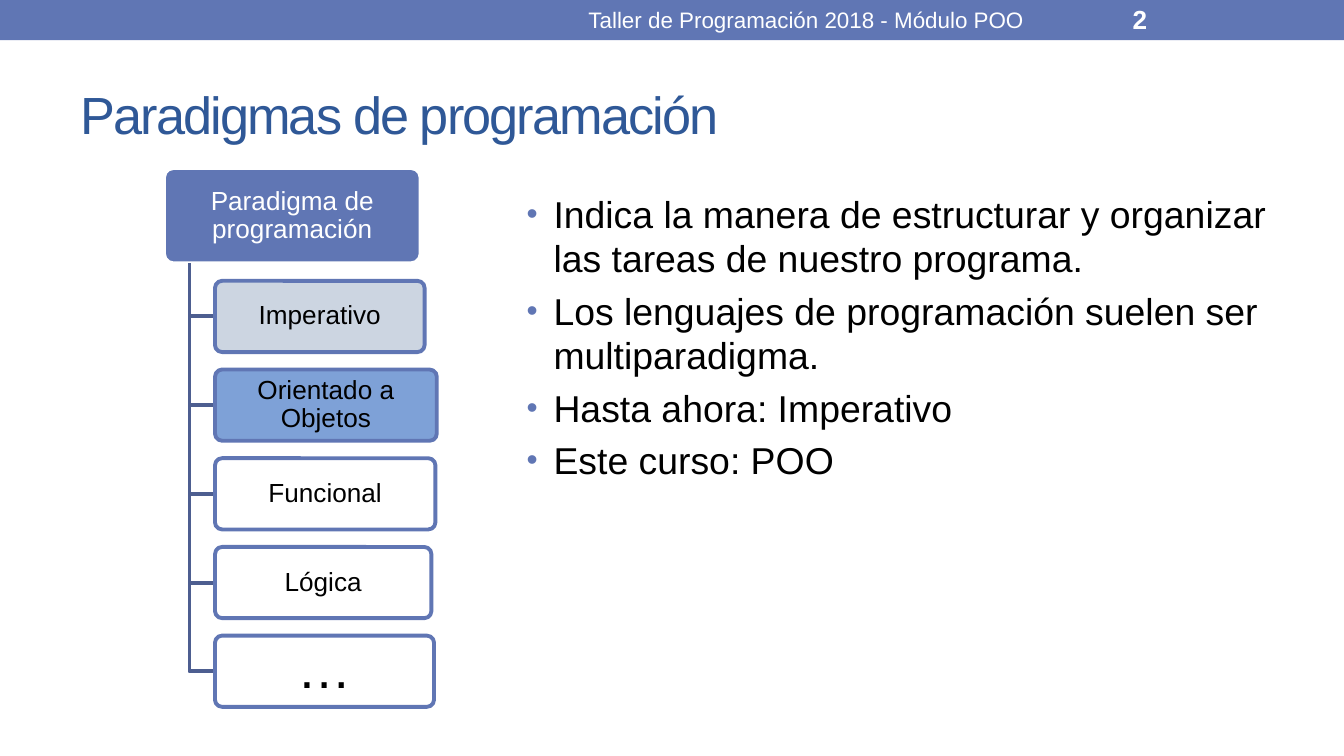
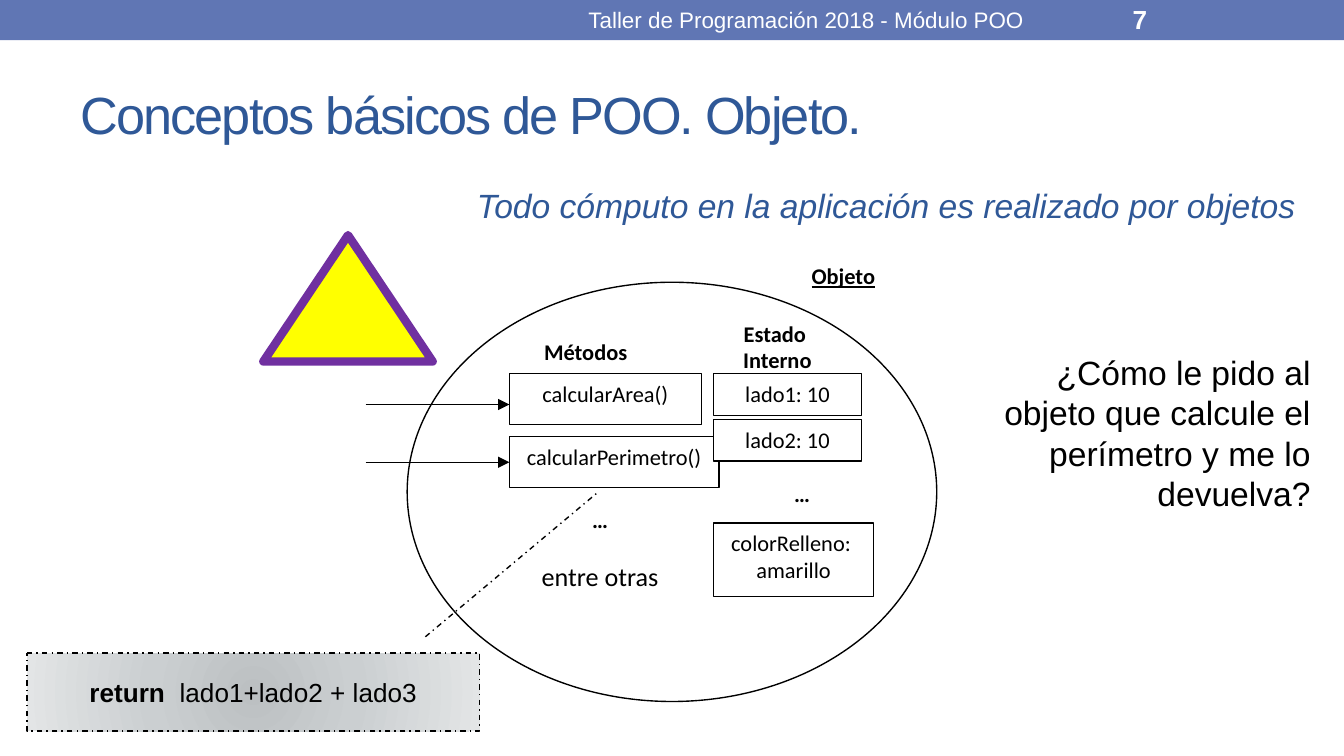
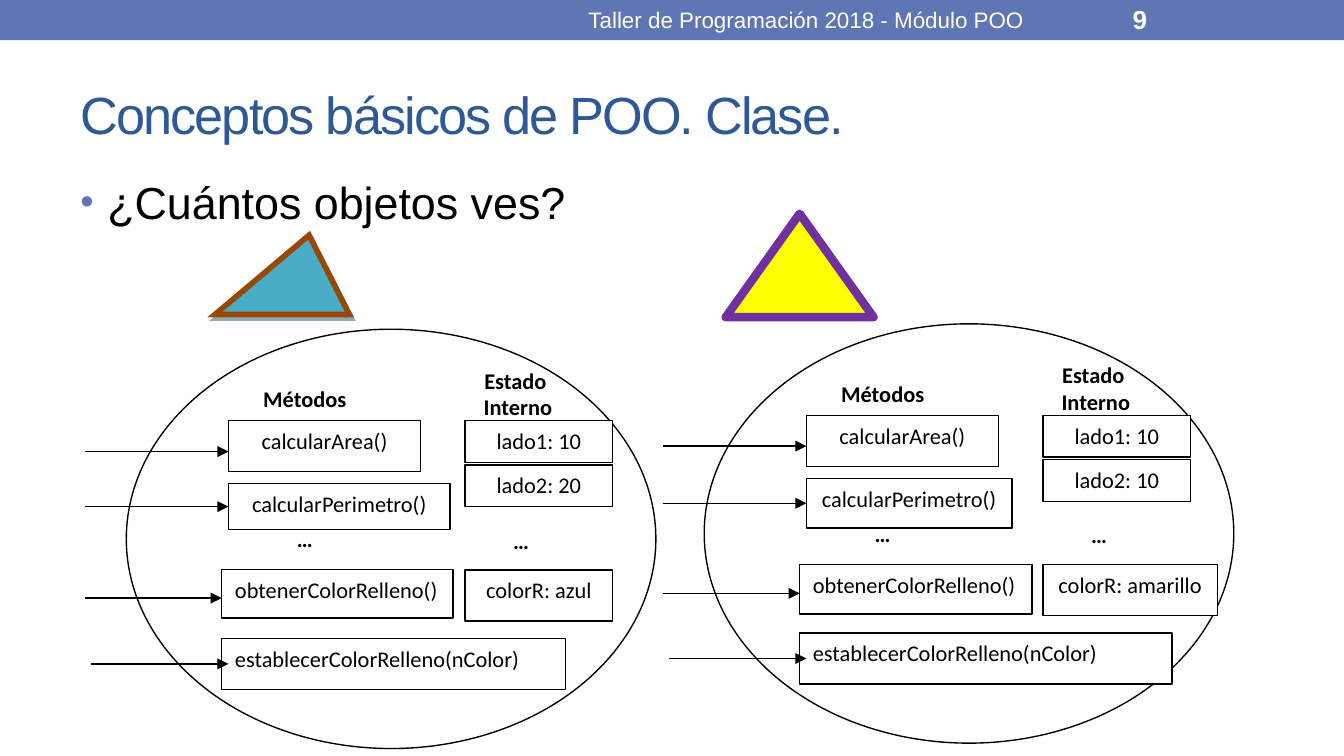
from lxml.etree import SubElement
from pptx import Presentation
from pptx.dml.color import RGBColor
from pptx.enum.dml import MSO_LINE
from pptx.enum.shapes import MSO_CONNECTOR, MSO_SHAPE
from pptx.enum.text import MSO_ANCHOR, PP_ALIGN
from pptx.oxml import parse_xml
from pptx.oxml.ns import nsdecls, qn
from pptx.util import Inches, Pt

BLUE, TITLE_BLUE, BRANCH_BLUE = "6076B4", "2F5897", "4D5E90"
WHITE, BLACK = "FFFFFF", "000000"
YELLOW, PURPLE, TEAL, BROWN = "FFFF00", "7030A0", "4BACC6", "974706"
HEADER = "Taller de Programación 2018 - Módulo POO"
ALIGN = {"left": PP_ALIGN.LEFT, "center": PP_ALIGN.CENTER, "right": PP_ALIGN.RIGHT}

# Slide "Paradigmas": label, width, fill, text size
ROOT = "Paradigma de programación"
PARADIGMS = [
    ("Imperativo", 1.56, "C7D1DE", 14),
    ("Orientado a Objetos", 1.65, "7097D3", 14),
    ("Funcional", 1.64, WHITE, 14),
    ("Lógica", 1.61, WHITE, 14),
    ("…", 1.63, WHITE, 29),
]
PARADIGM_POINTS = [
    "Indica la manera de estructurar y organizar las tareas de nuestro programa.",
    "Los lenguajes de programación suelen ser multiparadigma.",
    "Hasta ahora: Imperativo",
    "Este curso: POO",
]

# Object diagrams; places are measured from the corner of the ellipse.
# Methods: name, top, width, height. State: value, top, width, height.
OBJECT_SINGLE = {
    "origin": (3.03, 2.1),
    "state_left": 2.28,
    "heading_left": 2.01,
    "methods": [("calcularArea()", 0.68, 1.43, 0.38),
                ("calcularPerimetro()", 1.15, 1.56, 0.38)],
    "state": [("lado1: 10", 0.68, 1.1, 0.31),
              ("lado2: 10", 1.02, 1.1, 0.31),
              ("colorRelleno: \vamarillo", 1.79, 1.19, 0.55)],
    "dots": [(2.78, 1.42)],
}
OBJECT_PAIR = {
    "state_left": 2.52,
    "heading_left": 2.17,
    "dots": [(1.17, 1.41), (2.78, 1.42)],
}
OBJECT_BLUE = OBJECT_PAIR | {
    "origin": (0.94, 2.45),
    "methods": [("calcularArea()", 0.68, 1.43, 0.38),
                ("calcularPerimetro()", 1.15, 1.65, 0.34),
                ("obtenerColorRelleno()", 1.79, 1.72, 0.36),
                ("establecerColorRelleno(nColor)", 2.3, 2.56, 0.38)],
    "state": [("lado1: 10", 0.68, 1.1, 0.31),
              ("lado2: 20", 1.01, 1.1, 0.31),
              ("colorR: azul", 1.79, 1.1, 0.38)],
}
OBJECT_YELLOW = OBJECT_PAIR | {
    "origin": (5.24, 2.41),
    "methods": [("calcularArea()", 0.68, 1.43, 0.38),
                ("calcularPerimetro()", 1.15, 1.53, 0.37),
                ("obtenerColorRelleno()", 1.79, 1.73, 0.37),
                ("establecerColorRelleno(nColor)", 2.3, 2.77, 0.38)],
    "state": [("lado1: 10", 0.68, 1.1, 0.31),
              ("lado2: 10", 1.01, 1.1, 0.31),
              ("colorR: amarillo", 1.79, 1.3, 0.38)],
}
# Per method row: box left, text alignment, arrow start, arrow tip, arrow drop below the middle
METHOD_ROWS = [
    (0.76, "center", -0.31, 0.76, 0.04),
    (0.76, "center", -0.31, 0.76, 0),
    (0.71, "left", -0.31, 0.71, 0.03),
    (0.71, "left", -0.26, 0.76, 0),
]


def rgb(color):
    return RGBColor.from_string(color)


def inches(*lengths):
    return [Inches(length) for length in lengths]


def write(frame, text, size=12, font="Arial", color=BLACK, bold=False, italic=False,
          underline=False, align="left", spacing=None, before=0, line_spacing=None,
          bullet=False):
    r"""Add one paragraph per line, broken at \v; text is a string or (string, bold) runs."""
    lines = ([[(line, bold)] for line in text.split("\n")]
             if isinstance(text, str) else [text])
    for runs in lines:
        paragraph = frame.paragraphs[0]
        if paragraph.runs:
            paragraph = frame.add_paragraph()
        paragraph.alignment = ALIGN[align]
        paragraph.space_before = Pt(before)
        if line_spacing:
            paragraph.line_spacing = line_spacing
        if bullet:
            add_bullet(paragraph)
        for words, is_bold in runs:
            for index, piece in enumerate(words.split("\v")):
                if index:
                    paragraph.add_line_break()
                    SubElement(paragraph._p[-1], qn("a:rPr"), sz=str(size * 100))
                run = paragraph.add_run()
                run.text = piece
                run.font.name, run.font.size = font, Pt(size)
                run.font.color.rgb = rgb(color)
                run.font.bold, run.font.italic = is_bold, italic
                run.font.underline = underline
                if spacing:
                    run.font._element.set("spc", str(spacing * 100))


def add_bullet(paragraph):
    properties = paragraph._p.get_or_add_pPr()
    properties.set("marL", str(Inches(0.2)))
    properties.set("indent", str(Inches(-0.2)))
    color = SubElement(properties, qn("a:buClr"))
    SubElement(color, qn("a:srgbClr"), val=BLUE)
    SubElement(properties, qn("a:buSzPct"), val="85000")
    SubElement(properties, qn("a:buFont"), typeface="Arial")
    SubElement(properties, qn("a:buChar"), char="•")


def set_frame(frame, middle, margins=(0.1, 0.05)):
    frame.word_wrap = True
    frame.vertical_anchor = MSO_ANCHOR.MIDDLE if middle else MSO_ANCHOR.TOP
    frame.margin_left = frame.margin_right = Inches(margins[0])
    frame.margin_top = frame.margin_bottom = Inches(margins[1])


def add_text(slide, place, text, middle=False, **text_format):
    frame = slide.shapes.add_textbox(*inches(*place)).text_frame
    set_frame(frame, middle)
    write(frame, text, **text_format)
    return frame


def add_shape(slide, kind, place, fill, line=BLACK, width=0.75, join=None, alpha=None,
              adjust=(), text=None, middle=False, margins=(0.1, 0.05), **text_format):
    shape = slide.shapes.add_shape(kind, *inches(*place))
    shape.shadow.inherit = False
    for index, value in enumerate(adjust):
        shape.adjustments[index] = value
    shape.fill.solid()
    shape.fill.fore_color.rgb = rgb(fill)
    if alpha:
        fill_color = shape._element.spPr.find(qn("a:solidFill"))[0]
        SubElement(fill_color, qn("a:alpha"), val=str(alpha * 1000))
    if line:
        shape.line.color.rgb, shape.line.width = rgb(line), Pt(width)
        if join:
            SubElement(shape.line._get_or_add_ln(), qn("a:" + join))
    else:
        shape.line.fill.background()
    if text:
        set_frame(shape.text_frame, middle, margins)
        write(shape.text_frame, text, **text_format)
    return shape


def add_arrow(slide, start, tip, y, target=None):
    arrow = slide.shapes.add_connector(MSO_CONNECTOR.STRAIGHT, *inches(start, y, tip, y))
    if target is not None:
        arrow.end_connect(target, 1)
    arrow.line.color.rgb, arrow.line.width = rgb(BLACK), Pt(0.75)
    SubElement(arrow.line._get_or_add_ln(), qn("a:tailEnd"), type="triangle")
    SubElement(arrow._element.spPr, qn("a:effectLst"))


def add_branch(slide, x, top, right, bottom):
    """Draw an elbow going down and then right."""
    x, top, right, bottom = inches(x, top, right, bottom)
    builder = slide.shapes.build_freeform(x, top)
    builder.add_line_segments([(x, bottom), (right, bottom)], close=False)
    branch = builder.convert_to_shape()
    branch.shadow.inherit = False
    branch.fill.background()
    branch.line.color.rgb, branch.line.width = rgb(BRANCH_BLUE), Pt(2.08)


def add_bullets(slide, place, points, size):
    add_text(slide, place, "\n".join(points), size=size, before=size * 0.2, bullet=True)


def add_slide(deck, title, number):
    slide = deck.slides.add_slide(deck.slide_layouts[6])
    add_shape(slide, MSO_SHAPE.RECTANGLE, (0, 0, 10, 0.3), BLUE, line=None)
    add_text(slide, (0.5, 0.44, 9, 0.81), title, middle=True, size=28,
             color=TITLE_BLUE, spacing=-1)
    add_text(slide, (3.75, 0.01, 4.5, 0.27), HEADER, middle=True, color=WHITE,
             align="center")
    add_text(slide, (8.33, 0.01, 1.17, 0.27), str(number), middle=True, size=14,
             color=WHITE, bold=True)
    return slide


def add_yellow_triangle(slide, place):
    add_shape(slide, MSO_SHAPE.ISOSCELES_TRIANGLE, place, YELLOW, PURPLE, 4.5, "round")


def add_object(slide, item):
    """Draw an ellipse with its methods, the arrows that call them, and its state."""
    left, top = item["origin"]
    label = {"font": "Calibri", "bold": True}
    add_shape(slide, MSO_SHAPE.OVAL, (left, top, 3.94, 3.12), WHITE)
    add_text(slide, (left + 0.92, top + 0.37, 1.14, 0.37), "Métodos", **label)
    add_text(slide, (left + item["heading_left"], top + 0.23, 1.45, 0.43),
             "Estado\n Interno", align="center", **label)
    for (name, y, width, height), row in zip(item["methods"], METHOD_ROWS):
        x, align, start, tip, drop = row
        box = add_shape(slide, MSO_SHAPE.RECTANGLE, (left + x, top + y, width, height),
                        WHITE, text=name, font="Calibri", align=align)
        at_middle = tip == x and drop == 0
        add_arrow(slide, left + start, left + tip, top + y + height / 2 + drop,
                  box if at_middle else None)
    for value, y, width, height in item["state"]:
        add_shape(slide, MSO_SHAPE.RECTANGLE,
                  (left + item["state_left"], top + y, width, height),
                  WHITE, text=value, font="Calibri", align="center")
    for x, y in item["dots"]:
        add_text(slide, (left + x, top + y, 1.39, 0.47), "…", **label)


def build_paradigms(deck):
    slide = add_slide(deck, "Paradigmas de programación", 2)
    box = {"adjust": [0.1], "width": 2.08, "middle": True, "margins": (0.05, 0.04),
           "align": "center", "line_spacing": 0.9}
    add_shape(slide, MSO_SHAPE.ROUNDED_RECTANGLE, (1.22, 1.25, 1.91, 0.71), BLUE, WHITE,
              text=ROOT, size=14, color=WHITE, **box)
    for row, (name, width, fill, size) in enumerate(PARADIGMS):
        top, height = 2.09 + 0.66 * row, 0.53
        add_branch(slide, 1.41, 1.96, 1.6, top + height / 2)
        add_shape(slide, MSO_SHAPE.ROUNDED_RECTANGLE, (1.6, top, width, height), fill,
                  BLUE, alpha=90, text=name, size=size, **box)
    add_bullets(slide, (3.82, 1.37, 5.91, 3.87), PARADIGM_POINTS, 20)


def build_single_object(deck):
    slide = add_slide(deck, "Conceptos básicos de POO. Objeto.", 7)
    add_yellow_triangle(slide, (1.96, 1.75, 1.26, 0.94))
    add_text(slide, (5.94, 1.9, 1.07, 0.45), "Objeto", font="Calibri", bold=True,
             underline=True)
    add_object(slide, OBJECT_SINGLE)
    others = add_text(slide, (3.58, 3.72, 1.77, 0.73), "…", font="Calibri", bold=True,
                      align="center")
    write(others, "entre otras", size=14, font="Calibri", align="center", before=14.5)
    add_text(slide, (7.05, 2.57, 2.8, 1.92),
             "¿Cómo le pido al objeto que calcule el perímetro y me lo devuelva?",
             size=18, align="right")
    body = add_shape(slide, MSO_SHAPE.LINE_CALLOUT_1, (0.2, 4.86, 3.37, 0.58), "CBCFD1",
                     adjust=[-0.21, 0.88, -2.06, 1.26], middle=True, align="center",
                     text=[("return", True), ("  lado1+lado2 + lado3", False)], size=14)
    body.line.dash_style = MSO_LINE.DASH_DOT
    shade_from_center(body, [(0, "BCC0C2"), (45, "CBCFD1"), (100, "E3E5E6")])
    add_text(slide, (3.45, 1.33, 6.38, 0.4),
             "Todo cómputo en la aplicación es realizado por objetos",
             size=18, color=TITLE_BLUE, italic=True)


def shade_from_center(shape, stops):
    stop_list = "".join(f'<a:gs pos="{position * 1000}"><a:srgbClr val="{color}"/></a:gs>'
                        for position, color in stops)
    gradient = parse_xml(
        f'<a:gradFill {nsdecls("a")} rotWithShape="1"><a:gsLst>{stop_list}</a:gsLst>'
        '<a:path path="circle"><a:fillToRect l="50000" t="50000" r="50000" b="50000"/>'
        '</a:path></a:gradFill>')
    properties = shape._element.spPr
    properties.replace(properties.find(qn("a:solidFill")), gradient)


def add_drop_shadow(shape, color, alpha, distance, angle):
    effects = shape._element.spPr.find(qn("a:effectLst"))
    shadow = SubElement(effects, qn("a:outerShdw"), dist=str(Pt(distance)),
                        dir=str(angle * 60000), algn="ctr", rotWithShape="0")
    shadow_color = SubElement(shadow, qn("a:srgbClr"), val=color)
    SubElement(shadow_color, qn("a:alpha"), val=str(alpha * 1000))


def build_class(deck):
    slide = add_slide(deck, "Conceptos básicos de POO. Clase.", 9)
    add_bullets(slide, (0.5, 1.25, 9.07, 0.87), ["¿Cuántos objetos ves?"], 24)
    add_object(slide, OBJECT_BLUE)
    teal_triangle = add_shape(slide, MSO_SHAPE.ISOSCELES_TRIANGLE, (1.6, 1.75, 1, 0.59),
                              TEAL, BROWN, 3, "miter", adjust=[0.7])
    add_drop_shadow(teal_triangle, "205867", 50, 2.2, 63)
    add_yellow_triangle(slide, (5.4, 1.59, 1.1, 0.77))
    add_object(slide, OBJECT_YELLOW)


def main():
    deck = Presentation()
    deck.slide_width = Inches(10)
    deck.slide_height = Inches(10 * 9 / 16)
    build_paradigms(deck)
    build_single_object(deck)
    build_class(deck)
    deck.save("out.pptx")


if __name__ == "__main__":
    main()
